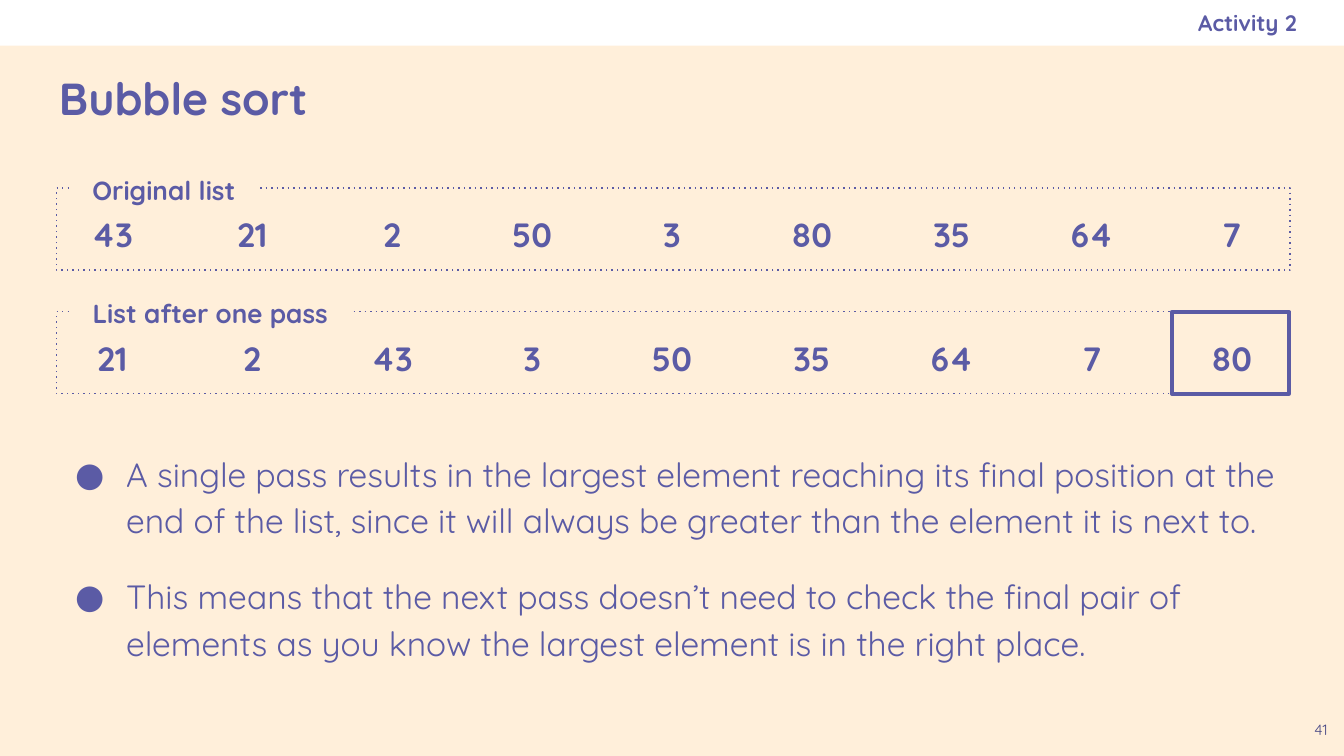
from lxml import etree
from pptx import Presentation
from pptx.dml.color import RGBColor
from pptx.enum.dml import MSO_LINE
from pptx.enum.shapes import MSO_SHAPE
from pptx.enum.text import MSO_ANCHOR, PP_ALIGN
from pptx.oxml.ns import qn
from pptx.util import Inches, Pt

RECT = MSO_SHAPE.RECTANGLE
TOP, MIDDLE = MSO_ANCHOR.TOP, MSO_ANCHOR.MIDDLE
LEFT, CENTER, RIGHT = PP_ALIGN.LEFT, PP_ALIGN.CENTER, PP_ALIGN.RIGHT
DOT = MSO_LINE.ROUND_DOT

FONT = "Quicksand"
CREAM, WHITE, PURPLE, DARK = "FFEFDA", "FFFFFF", "5B5BA5", "494985"

# label, label width, top of frame, numbers
LISTS = [
    ("Original list", 1.4, 1.4, [43, 21, 2, 50, 3, 80, 35, 64, 7]),
    ("List after one pass", 2.09, 2.32, [21, 2, 43, 3, 50, 35, 64, 7, 80]),
]
POINTS = [
    "A single pass results in the largest element reaching its final position "
    "at the end of the list, since it will always be greater than the element "
    "it is next to.",
    "This means that the next pass doesn’t need to check the final pair of "
    "elements as you know the largest element is in the right place.",
]
SLIDE_W = 10
SLIDE_H = SLIDE_W * 9 / 16
FRAME_X, FRAME_W, FRAME_H = 0.42, 9.18, 0.61
FIRST_X, LAST_X, CELL_W = 0.31, 8.64, 1.05


def color(code):
    return RGBColor.from_string(code)


def add_rect(box, fill=None, line=None, width=0.75, dotted=False):
    shape = slide.shapes.add_shape(RECT, *map(Inches, box))
    shape.shadow.inherit = False
    if fill:
        shape.fill.solid()
        shape.fill.fore_color.rgb = color(fill)
    else:
        shape.fill.background()
    if line:
        shape.line.color.rgb = color(line)
        shape.line.width = Pt(width)
    else:
        shape.line.fill.background()
    if dotted:
        # The sparse "dot" dash is not among the library's dash styles
        shape.line.dash_style = DOT
        shape._element.find(".//" + qn("a:prstDash")).set("val", "dot")


def add_bullet(para):
    props = para._p.get_or_add_pPr()
    props.set("marL", str(Inches(0.5)))
    props.set("indent", str(Inches(-0.38)))
    tint = etree.SubElement(props, qn("a:buClr"))
    etree.SubElement(tint, qn("a:srgbClr"), val=PURPLE)
    etree.SubElement(props, qn("a:buFont"), typeface=FONT)
    etree.SubElement(props, qn("a:buChar"), char="●")


def add_text(box, *texts, size=18, bold=True, ink=PURPLE, align=LEFT,
             anchor=TOP, inset=(0.1, 0.1, 0.1, 0.1), spacing=None,
             gap=0, bullet=False, fill=None):
    """Add a text box with one paragraph per text, gap points apart."""
    shape = slide.shapes.add_textbox(*map(Inches, box))
    if fill:
        shape.fill.solid()
        shape.fill.fore_color.rgb = color(fill)
    frame = shape.text_frame
    frame.word_wrap = True
    frame.vertical_anchor = anchor
    (frame.margin_left, frame.margin_top,
     frame.margin_right, frame.margin_bottom) = map(Inches, inset)
    for i, text in enumerate(texts):
        para = frame.add_paragraph() if i else frame.paragraphs[0]
        if bullet:
            add_bullet(para)
        para.alignment = align
        if spacing:
            para.line_spacing = spacing
        if i:
            para.space_before = Pt(gap)
        run = para.add_run()
        run.text = text
        font = run.font
        font.name, font.size, font.bold = FONT, Pt(size), bold
        font.color.rgb = color(ink)


deck = Presentation()
deck.slide_width, deck.slide_height = Inches(SLIDE_W), Inches(SLIDE_H)
slide = deck.slides.add_slide(deck.slide_layouts[6])
slide.background.fill.solid()
slide.background.fill.fore_color.rgb = color(CREAM)

add_rect((0, 0, SLIDE_W, 0.34), fill=WHITE)
add_text((0.34, 0.34, 9.32, 0.77), "Bubble sort", size=24, anchor=MIDDLE)
add_text((9.66, 5.28, 0.34, 0.34), "41", size=8, bold=False, ink=DARK,
         align=CENTER, inset=(0.1, 0.13, 0.1, 0.1))
add_text((5.75, 0, 3.9, 0.34), "Activity 2", size=12, align=RIGHT,
         anchor=MIDDLE, inset=(0.1, 0.1, 0, 0.1))
add_text((0.34, 3.23, 9.32, 2.05), *POINTS, bold=False, spacing=1.15,
         gap=16, bullet=True)

for label, width, top, numbers in LISTS:
    step = (LAST_X - FIRST_X) / (len(numbers) - 1)
    for i, number in enumerate(numbers):
        add_text((FIRST_X + i * step, top + 0.05, CELL_W, 0.48), str(number),
                 align=CENTER, spacing=1.15)
    add_rect((FRAME_X, top, FRAME_W, FRAME_H), line=PURPLE, dotted=True)
    add_text((0.52, top - 0.14, width, 0.26), label, size=14, align=CENTER,
             inset=(0.1, 0, 0.1, 0), spacing=1.15, fill=CREAM)

sorted_top = LISTS[-1][2]
add_rect((8.72, sorted_top, 0.87, FRAME_H), line=PURPLE, width=2.25)

deck.save("out.pptx")
